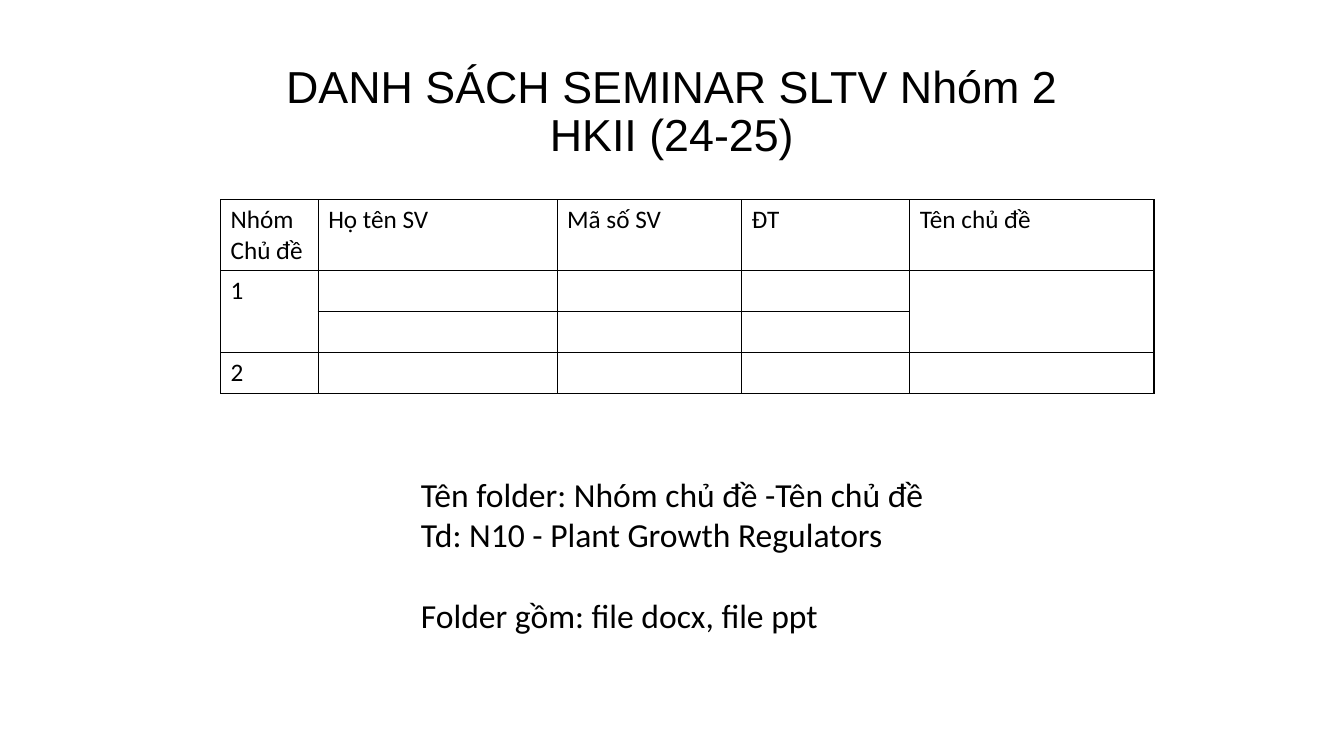
from dataclasses import dataclass

from lxml import etree
from pptx import Presentation
from pptx import util as u
from pptx.dml.color import RGBColor
from pptx.enum import text
from pptx.oxml import ns


@dataclass(frozen=True)
class Theme:
    """Colours, fonts and type sizes of the deck."""
    ink: str = "000000"
    title_font: str = "Arial"
    body_font: str = "Calibri"
    title_size: int = 32
    note_size: int = 24
    table_size: int = 18
    border: float = 1


THEME = Theme()
COLUMN_WIDTHS = [2.46, 6.02, 4.65, 4.24, 6.15]
ROW_HEIGHTS = [1.79, 1.03, 1.03, 1.03]
HEADERS = ["Nhóm Chủ đề", "Họ tên SV", "Mã số SV", "ĐT", "Tên chủ đề"]
GROUPS = {1: "1", 3: "2"}
NOTES = [
    ("Tên folder: Nhóm chủ đề -Tên chủ đề", 0),
    ("Td: N10 - Plant Growth Regulators", 0),
    ("Folder gồm: file docx, file ppt", 29.3),
]


def write(para, words, *, size, font=THEME.body_font, align=None, spacing=None, before=0):
    """Put formatted words into a paragraph."""
    para.text = words
    para.alignment = align
    para.line_spacing = spacing
    para.space_before = u.Pt(before)
    para.font.size = u.Pt(size)
    for span in para.runs:
        span.font.size = u.Pt(size)
        span.font.name = font
        span.font.color.rgb = RGBColor.from_string(THEME.ink)


def add_box(page, left, top, width, height, anchor=text.MSO_ANCHOR.TOP):
    """Add a wrapping text box and return its text frame."""
    box = page.shapes.add_textbox(u.Cm(left), u.Cm(top), u.Cm(width), u.Cm(height))
    box.text_frame.word_wrap = True
    box.text_frame.vertical_anchor = anchor
    return box.text_frame


def add_title(page, words):
    """Add the centred page title."""
    frame = add_box(page, 2.33, 1.01, 29.21, 3.68, text.MSO_ANCHOR.MIDDLE)
    write(frame.paragraphs[0], words, size=THEME.title_size, font=THEME.title_font,
          align=text.PP_ALIGN.CENTER, spacing=0.9)


def add_notes(page, notes):
    """Add the folder instructions below the table."""
    frame = add_box(page, 10.36, 11.81, 14.73, 4.37)
    for index, (words, before) in enumerate(notes):
        para = frame.add_paragraph() if index else frame.paragraphs[0]
        write(para, words, size=THEME.note_size, before=before)


def style_cell(cell):
    """Clear the fill of a cell and draw its four borders."""
    cell.fill.background()
    properties = cell._tc.get_or_add_tcPr()
    for index, side in enumerate(("lnL", "lnR", "lnT", "lnB")):
        line = etree.Element(ns.qn(f"a:{side}"), w=str(u.Pt(THEME.border)))
        fill = etree.SubElement(line, ns.qn("a:solidFill"))
        etree.SubElement(fill, ns.qn("a:srgbClr"), val=THEME.ink)
        properties.insert(index, line)


def add_roster(page):
    """Add the table of groups, students and topics."""
    frame = page.shapes.add_table(
        len(ROW_HEIGHTS), len(COLUMN_WIDTHS), u.Cm(5.56), u.Cm(5.03),
        u.Cm(sum(COLUMN_WIDTHS)), u.Cm(sum(ROW_HEIGHTS)))
    table = frame.table
    table.first_row = table.horz_banding = False
    for column, width in zip(table.columns, COLUMN_WIDTHS):
        column.width = u.Cm(width)
    for row, height in zip(table.rows, ROW_HEIGHTS):
        row.height = u.Cm(height)
    labels = {(0, column): words for column, words in enumerate(HEADERS)}
    labels.update({(row, 0): words for row, words in GROUPS.items()})
    for row in range(len(ROW_HEIGHTS)):
        for column in range(len(COLUMN_WIDTHS)):
            cell = table.cell(row, column)
            style_cell(cell)
            write(cell.text_frame.paragraphs[0], labels.get((row, column), ""),
                  size=THEME.table_size)
    for column in (0, len(COLUMN_WIDTHS) - 1):
        table.cell(1, column).merge(table.cell(2, column))


def main():
    """Build and save the deck."""
    deck = Presentation()
    deck.slide_width, deck.slide_height = u.Cm(33.87), u.Cm(19.05)
    page = deck.slides.add_slide(deck.slide_layouts[6])
    add_title(page, "DANH SÁCH SEMINAR SLTV Nhóm 2\vHKII (24-25)")
    add_roster(page)
    add_notes(page, NOTES)
    deck.save("out.pptx")


if __name__ == "__main__":
    main()
